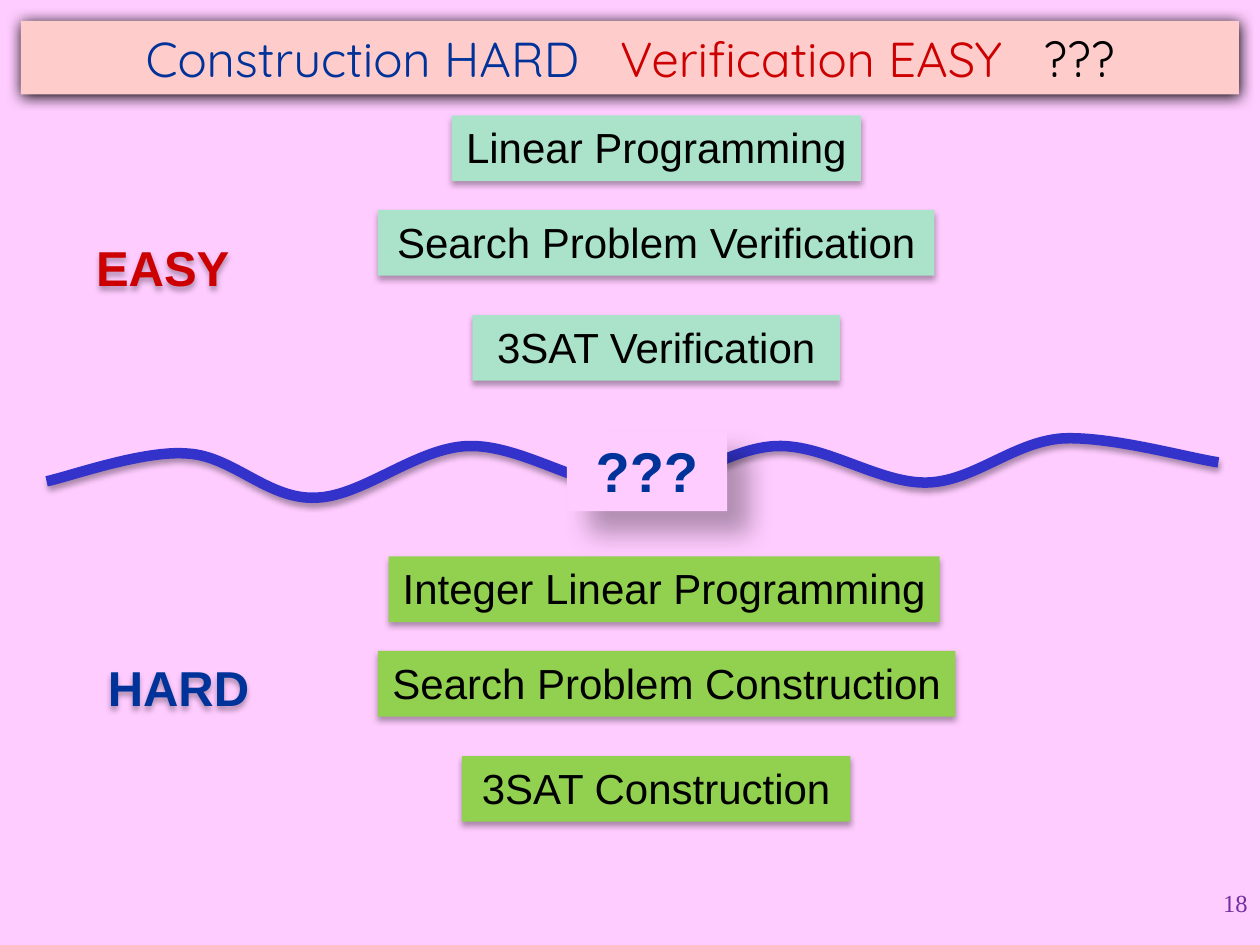
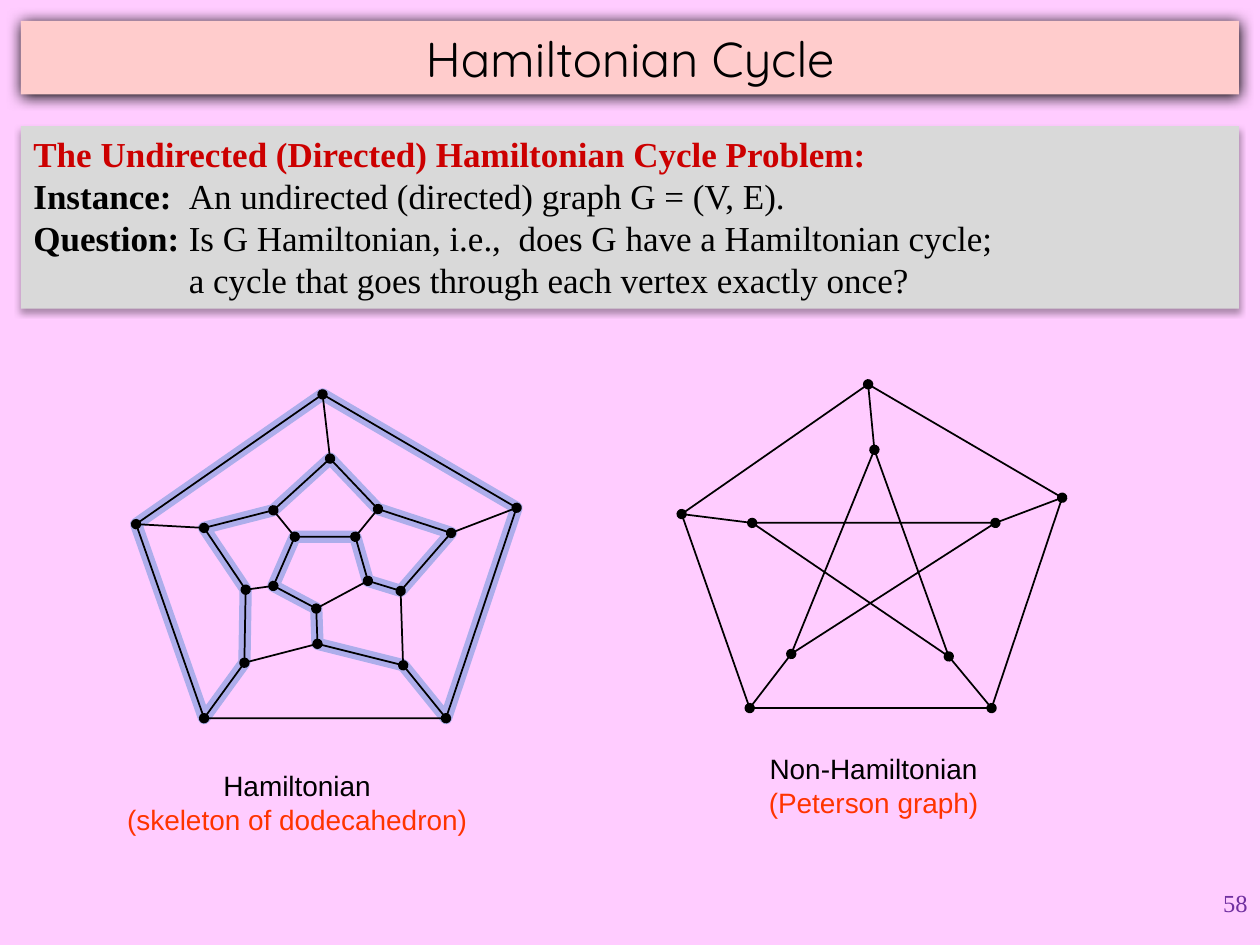
"""Build two slides about easy and hard problems and Hamiltonian cycles."""
from itertools import chain
from lxml.etree import SubElement
from pptx import Presentation
from pptx.dml.color import RGBColor
from pptx.enum.shapes import MSO_CONNECTOR, MSO_SHAPE
from pptx.enum.text import MSO_ANCHOR, PP_ALIGN
from pptx.oxml.ns import qn
from pptx.util import Inches, Pt

PINK = RGBColor(0xFF, 0xCC, 0xFF)
SALMON = RGBColor(0xFF, 0xCC, 0xCC)
MINT = RGBColor(0xAA, 0xE2, 0xCA)
GREEN = RGBColor(0x92, 0xD0, 0x50)
GRAY = RGBColor(0xD9, 0xD9, 0xD9)
BLACK = RGBColor(0x00, 0x00, 0x00)
NAVY = RGBColor(0x00, 0x33, 0x99)
RED = RGBColor(0xCC, 0x00, 0x00)
ORANGE = RGBColor(0xFF, 0x33, 0x00)
BLUE = RGBColor(0x33, 0x33, 0xCC)
LAVENDER = RGBColor(0xAD, 0xAD, 0xEB)
PURPLE = RGBColor(0x70, 0x30, 0xA0)

SOFT = {"blur": 3.5, "distance": 2.2, "angle": 90, "opacity": 32}
DARK = {"blur": 8.5, "distance": 1, "angle": 90, "opacity": 100}
FLOATING = {"blur": 15, "distance": 18, "angle": 45, "opacity": 30}

presentation = Presentation()
presentation.slide_width = Inches(10)
presentation.slide_height = Inches(7.5)
CELL = presentation.slide_width / 120
FINE = presentation.slide_width / 1000

background = presentation.slide_master.background.fill
background.solid()
background.fore_color.rgb = PINK


def add_shadow(shape, blur, distance, angle, opacity):
    shape.shadow.inherit = False
    effects = shape.element.spPr.find(qn("a:effectLst"))
    shadow = SubElement(effects, qn("a:outerShdw"), blurRad=str(Pt(blur)), dist=str(Pt(distance)),
                        dir=str(angle * 60000), algn="ctr", rotWithShape="0")
    color = SubElement(shadow, qn("a:srgbClr"), val=str(BLACK))
    SubElement(color, qn("a:alpha"), val=str(opacity * 1000))


def add_text(slide, place, paragraphs, size=24, font="Arial", color=BLACK, bold=False,
             align=PP_ALIGN.CENTER, anchor=MSO_ANCHOR.TOP, fill=None, shadow=None,
             wrap=False, hanging=0):
    box = [round(length * CELL) for length in place]
    if fill is None:
        shape = slide.shapes.add_textbox(*box)
    else:
        shape = slide.shapes.add_shape(MSO_SHAPE.RECTANGLE, *box)
        shape.fill.solid()
        shape.fill.fore_color.rgb = fill
        shape.line.fill.background()
    if shadow:
        add_shadow(shape, **shadow)
    frame = shape.text_frame
    frame.word_wrap = wrap
    frame.vertical_anchor = anchor
    for index, runs in enumerate(paragraphs):
        paragraph = frame.add_paragraph() if index else frame.paragraphs[0]
        paragraph.alignment = align
        if hanging:
            properties = paragraph._p.get_or_add_pPr()
            properties.set("marL", str(round(hanging * CELL)))
            properties.set("indent", str(-round(hanging * CELL)))
        for text, changes in runs:
            run = paragraph.add_run()
            run.text = text
            run.font.name = font
            run.font.size = Pt(size)
            run.font.bold = changes.get("bold", bold)
            run.font.color.rgb = changes.get("color", color)
            if "spacing" in changes:
                run.font._element.set("spc", str(changes["spacing"] * 100))


problems, cycles = [presentation.slides.add_slide(presentation.slide_layouts[6]) for _ in range(2)]

wave_points = [
    (37, 382),
    (56, 378), (114, 357), (149, 360),
    (185, 362), (213, 397), (251, 395),
    (288, 394), (331, 355), (372, 354),
    (414, 353), (460, 387), (501, 387),
    (542, 387), (578, 355), (617, 354),
    (656, 353), (698, 384), (736, 383),
    (773, 382), (804, 351), (843, 348),
    (881, 346), (941, 363), (967, 367),
]
outer = [(256, 313), (410, 403), (354, 570), (162, 570), (108, 416)]
middle = [(262, 364), (300, 404), (358, 423), (318, 469), (320, 528),
          (252, 511), (194, 526), (195, 468), (162, 419), (217, 405)]
inner = [(282, 426), (292, 461), (251, 483), (217, 465), (234, 426)]
cycle = [outer[4], *outer[:3], *middle[4:6], *inner[2:], *inner[:2],
         *middle[3::-1], *middle[:5:-1], outer[3]]
petersen = [(x + 433, y - 8) for x, y in outer]
star = [(694, 357), (790, 415), (753, 521), (628, 519), (597, 415)]
pentagram = [star[2 * step % 5] for step in range(5)]

outlines = [
    (cycles, cycle, LAVENDER, 7),
    (cycles, inner, BLACK, 1),
    (cycles, middle, BLACK, 1),
    (cycles, outer, BLACK, 1),
    (cycles, petersen, BLACK, 1),
    (cycles, pentagram, BLACK, 1),
    (problems, wave_points, BLUE, 6),
]
for slide, points, color, width in outlines:
    builder = slide.shapes.build_freeform(*points[0], scale=FINE)
    builder.add_line_segments(points[1:], close=points is not wave_points)
    outline = builder.convert_to_shape()
    outline.fill.background()
    outline.line.color.rgb = color
    outline.line.width = Pt(width)
    outline.shadow.inherit = False

wave = outline
add_shadow(wave, **SOFT)
wave_path = wave.element.find(".//" + qn("a:path"))
segments = list(wave_path)[1:]
for first in range(0, len(segments), 3):
    curve = SubElement(wave_path, qn("a:cubicBezTo"))
    for segment in segments[first:first + 3]:
        curve.append(segment[0])
        wave_path.remove(segment)

spokes = chain(zip(outer, middle[::2]), zip(inner, middle[1::2]), zip(petersen, star))
for start, end in spokes:
    ends = [round(length * FINE) for length in start + end]
    spoke = cycles.shapes.add_connector(MSO_CONNECTOR.STRAIGHT, *ends)
    spoke.line.color.rgb = BLACK
    spoke.line.width = Pt(1)
    for tip in ("a:headEnd", "a:tailEnd"):
        SubElement(spoke.get_or_add_ln(), qn(tip), type="oval")
    SubElement(spoke.element.spPr, qn("a:effectLst"))

gap = (" ", {"spacing": 16})
problems_title = [("Construction HARD", {"color": NAVY}), gap,
                  ("Verification EASY", {"color": RED}), gap, ("???", {})]
cycles_title = [("Hamiltonian Cycle", {})]
for slide, title, number in [(problems, problems_title, "18"), (cycles, cycles_title, "58")]:
    add_text(slide, (2, 2, 116, 7), [title], size=28, font="Quicksand",
             anchor=MSO_ANCHOR.MIDDLE, fill=SALMON, shadow=DARK, wrap=True)
    add_text(slide, (95, 84, 25, 6), [[(number, {})]], size=14, font="Times New Roman",
             color=PURPLE, align=PP_ALIGN.RIGHT, wrap=True)

easy = [("Linear Programming", 43, 39), ("Search Problem Verification", 36, 53),
        ("3SAT Verification", 45, 35)]
hard = [("Integer Linear Programming", 37, 52.5), ("Search Problem Construction", 36, 55),
        ("3SAT Construction", 44, 37)]
for names, top, fill in [(easy, 11, MINT), (hard, 53, GREEN)]:
    for (name, column, columns), offset in zip(names, (0, 9, 19)):
        add_text(problems, (column, top + offset, columns, 6.25), [[(name, {})]],
                 fill=fill, shadow=SOFT)

for label, column, row, color in [("EASY", 6.5, 22, RED), ("HARD", 8, 62, NAVY)]:
    add_text(problems, (column, row, 18, 6.8), [[(label, {})]], size=28, color=color,
             bold=True, shadow=SOFT)
add_text(problems, (54, 41, 15.25, 7.7), [[("???", {})]], size=32, color=NAVY, bold=True,
         fill=PINK, shadow=FLOATING)

definition = [
    [("The Undirected (Directed) Hamiltonian Cycle Problem:", {"color": RED, "bold": True})],
    [("Instance:", {"bold": True}), ("\tAn undirected (directed) graph G = (V, E).", {})],
    [("Question:", {"bold": True}),
     ("\tIs G Hamiltonian, i.e.,  does G have a Hamiltonian cycle;", {})],
    [("\ta cycle that goes through each vertex exactly once?", {})],
]
add_text(cycles, (2, 12, 116, 17.4), definition, size=20, font="Times New Roman",
         align=PP_ALIGN.LEFT, fill=GRAY, shadow=SOFT, wrap=True, hanging=14.8)

captions = [("Hamiltonian", "(skeleton of dodecahedron)", (10.8, 72.6, 35, 7.7)),
            ("Non-Hamiltonian", "(Peterson graph)", (72, 71, 22.4, 7.7))]
for kind, example, place in captions:
    add_text(cycles, place, [[(kind, {})], [(example, {"color": ORANGE})]], size=16)

presentation.save("out.pptx")
